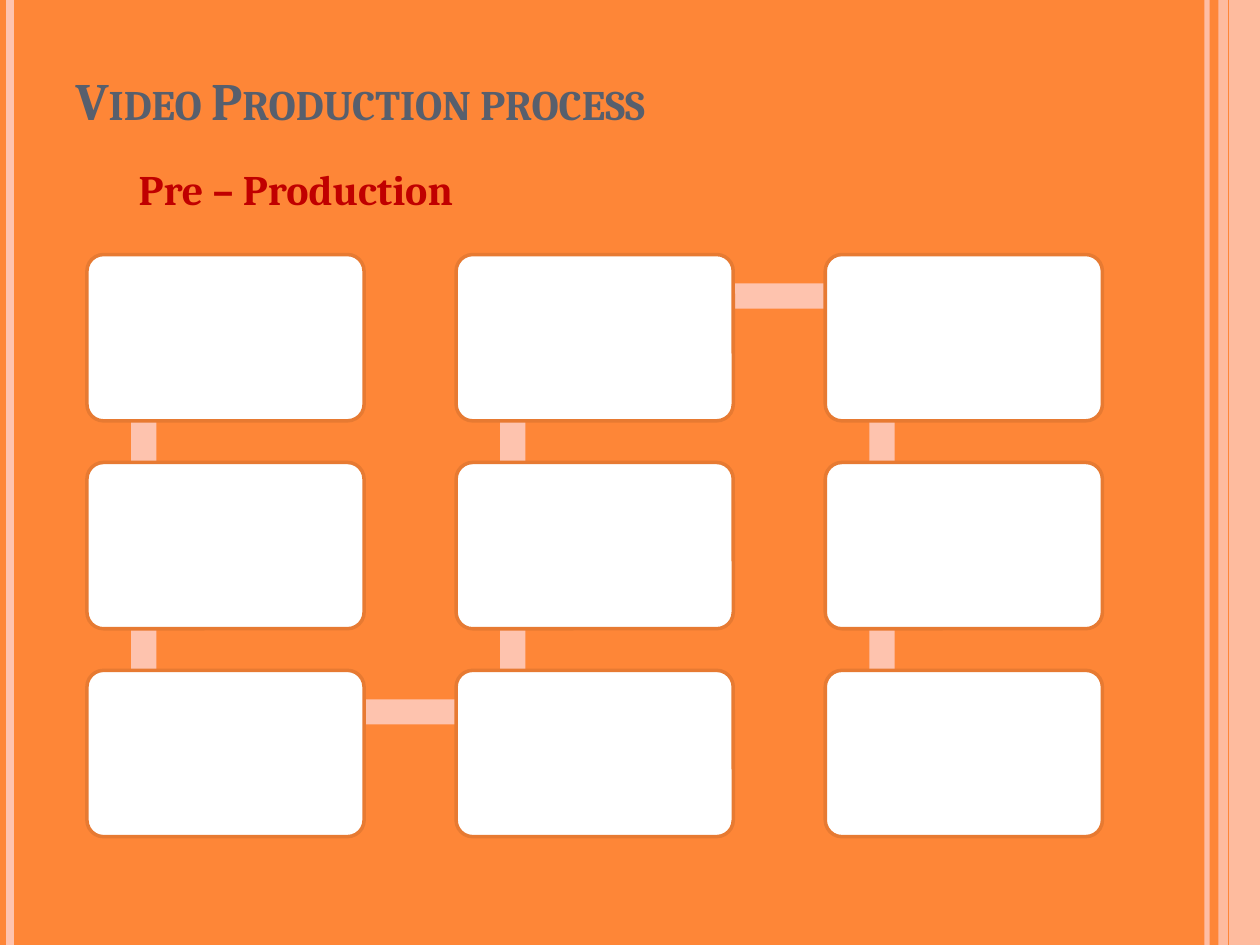
from pptx import Presentation
from pptx.dml.color import RGBColor
from pptx.enum.shapes import MSO_CONNECTOR as CONNECTOR, MSO_SHAPE as SHAPE
from pptx.enum.text import MSO_ANCHOR as ANCHOR, MSO_AUTO_SIZE as AUTO_SIZE, PP_ALIGN as ALIGN
from pptx.oxml.ns import qn
from pptx.oxml.xmlchemy import OxmlElement
from pptx.util import Inches, Pt

ORANGE, PINK, WHITE = "FE8637", "FEC3AE", "FFFFFF"
BORDER, SLATE, RED = "E77A32", "575F6D", "C00000"


def color(value):
    return RGBColor.from_string(value)


def add_child(parent, tag, **attributes):
    child = OxmlElement(tag)
    for name, value in attributes.items():
        child.set(name, value)
    parent.append(child)
    return child


def set_opacity(shape, percent):
    for element in shape._element.spPr.iter(qn("a:srgbClr")):
        add_child(element, "a:alpha", val=str(percent * 1000))


class SlideBuilder:
    font_name = "Cambria"

    def __init__(self, slide):
        self.slide = slide
        self.shapes = slide.shapes

    def background(self, value):
        fill = self.slide.background.fill
        fill.solid()
        fill.fore_color.rgb = color(value)

    def vertical_line(self, x, value, width):
        line = self.shapes.add_connector(
            CONNECTOR.STRAIGHT, Inches(x), 0, Inches(x), Inches(7.5))
        line.line.color.rgb = color(value)
        line.line.width = Pt(width)
        add_child(line._element.spPr, "a:effectLst")
        return line

    def box(self, parent, kind, left, top, width, height, fill, border=None):
        shape = parent.add_shape(
            kind, Inches(left), Inches(top), Inches(width), Inches(height))
        shape.shadow.inherit = False
        shape.fill.solid()
        shape.fill.fore_color.rgb = color(fill)
        if border:
            shape.line.color.rgb = color(border)
            shape.line.width = Pt(2)
        else:
            shape.line.fill.background()
        return shape

    def placeholder(self, index, text, bounds, frame_format, size, value, bullet=None):
        shape = self.slide.placeholders[index]
        shape.left, shape.top, shape.width, shape.height = map(Inches, bounds)
        frame = shape.text_frame
        for name, setting in frame_format.items():
            setattr(frame, name, setting)
        paragraph = frame.paragraphs[0]
        paragraph.alignment = ALIGN.LEFT
        paragraph.space_before = Pt(0)
        if bullet:
            self.bullet(paragraph, bullet)
        run = paragraph.add_run()
        run.text = text
        font_format = {"name": self.font_name, "size": Pt(size), "bold": True}
        for name, setting in font_format.items():
            setattr(run.font, name, setting)
        run.font.color.rgb = color(value)
        return run

    def bullet(self, paragraph, character):
        properties = paragraph._p.get_or_add_pPr()
        properties.set("marL", str(Inches(0.5)))
        properties.set("indent", str(Inches(-0.5)))
        add_child(add_child(properties, "a:buClr"), "a:srgbClr", val=ORANGE)
        add_child(properties, "a:buSzPct", val="70000")
        add_child(properties, "a:buChar", char=character)


def add_process(builder):
    """Nine steps running down, up and down again, joined by bars."""
    group = builder.shapes.add_group_shape().shapes
    first_left, first_top = 0.69, 2.02
    column_step, row_step = 2.93, 1.65
    bar_height = 0.2
    steps = [(column, row) for column in range(3)
             for row in (range(3) if column % 2 == 0 else reversed(range(3)))]

    for index, (column, row) in enumerate(steps):
        left = first_left + column * column_step
        top = first_top + row * row_step

        # Bar to the next step, behind the cells
        if index + 1 < len(steps):
            next_column, next_row = steps[index + 1]
            direction = next_row - row
            length = 1.64 if direction else 2.92
            center_x = left + 0.45 + (0 if direction else length / 2)
            center_y = top + 0.33 + direction * length / 2
            bar = builder.box(group, SHAPE.RECTANGLE, center_x - length / 2,
                              center_y - bar_height / 2, length, bar_height, PINK)
            bar.rotation = direction * 90 % 360

        # Step cell
        cell = builder.box(group, SHAPE.ROUNDED_RECTANGLE, left, top,
                           2.2, 1.32, WHITE, BORDER)
        cell.adjustments[0] = 0.1


def main():
    presentation = Presentation()
    presentation.slide_width, presentation.slide_height = Inches(10), Inches(7.5)
    builder = SlideBuilder(presentation.slides.add_slide(presentation.slide_layouts[1]))

    # Background and edge stripes
    builder.background(ORANGE)
    set_opacity(builder.vertical_line(9.58, PINK, 3), 93)
    builder.vertical_line(0.08, PINK, 4.5)
    builder.vertical_line(9.83, ORANGE, 1.5)
    set_opacity(builder.box(builder.shapes, SHAPE.RECTANGLE, 9.67, 0, 0.33, 7.5, PINK), 87)
    builder.vertical_line(9.75, ORANGE, 0.75)

    # Title and phase
    title = builder.placeholder(
        0, "Video Production process", (0.5, 0.3, 8.17, 1.25),
        {"vertical_anchor": ANCHOR.BOTTOM, "margin_bottom": Inches(0.51),
         "auto_size": AUTO_SIZE.NONE}, 30, SLATE)
    title._r.get_or_add_rPr().set("cap", "small")
    builder.placeholder(
        1, "Pre – Production", (0.5, 1.25, 9, 5.45),
        {"vertical_anchor": ANCHOR.TOP, "auto_size": AUTO_SIZE.NONE},
        24, RED, bullet="➢")

    # Process cells
    add_process(builder)

    presentation.save("out.pptx")


if __name__ == "__main__":
    main()
